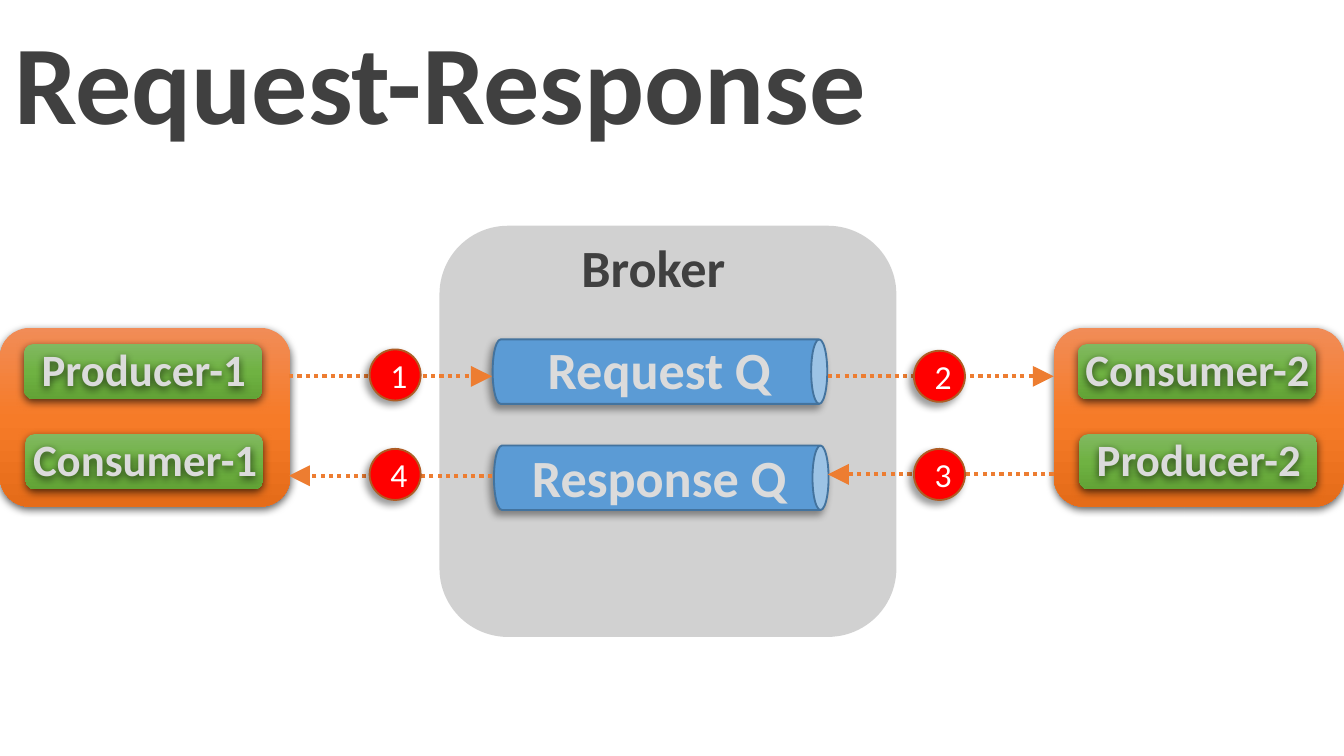
from copy import deepcopy
from lxml import etree
from pptx import Presentation
from pptx.dml.color import RGBColor
from pptx.enum.dml import MSO_LINE
from pptx.enum.shapes import MSO_CONNECTOR, MSO_SHAPE
from pptx.enum.text import MSO_ANCHOR, PP_ALIGN
from pptx.oxml.ns import qn
from pptx.util import Inches, Pt

ROUNDED, CAN, OVAL = MSO_SHAPE.ROUNDED_RECTANGLE, MSO_SHAPE.CAN, MSO_SHAPE.OVAL
STRAIGHT, DOTTED = MSO_CONNECTOR.STRAIGHT, MSO_LINE.ROUND_DOT
CENTER, MIDDLE = PP_ALIGN.CENTER, MSO_ANCHOR.MIDDLE
DARK, LIGHT, ORANGE = "404040", "DBDBDB", "ED7D31"
ORANGES = ("F18C57", "F67B28", "E56C19")
GREENS = ("81B861", "6FB242", "62A336")
DIAGONAL_SHADOW = (40, 4, 3, 135)
DROP_SHADOW = (63, 4.5, 1.5, 90)


def rgb(color):
    return RGBColor.from_string(color)


def add_xml(parent, tag, **attrs):
    return etree.SubElement(parent, qn(tag), {k: str(v) for k, v in attrs.items()})


def set_shadow(sp, shadow):
    sp.shadow.inherit = False
    if shadow:
        alpha, blur, dist, angle = shadow
        effects = sp._element.spPr.find(qn("a:effectLst"))
        outer = add_xml(effects, "a:outerShdw", blurRad=Pt(blur), dist=Pt(dist),
                        dir=angle * 60000, algn="ctr", rotWithShape=0)
        color = add_xml(outer, "a:srgbClr", val="000000")
        add_xml(color, "a:alpha", val=alpha * 1000)


def set_gradient(fill, colors):
    fill.gradient()
    fill.gradient_angle = 270
    first = fill.gradient_stops[0]._gs
    first.addnext(deepcopy(first))
    for i, (stop, color) in enumerate(zip(fill.gradient_stops, colors)):
        stop.position = i / 2
        stop.color.rgb = rgb(color)


def set_text(sp, text, size, color, bold=True, margins=(0.1, 0.05), wrap=False):
    tf = sp.text_frame
    side, edge = (Inches(m) for m in margins)
    frame = {"word_wrap": wrap, "vertical_anchor": MIDDLE, "margin_left": side,
             "margin_right": side, "margin_top": edge, "margin_bottom": edge}
    for name, value in frame.items():
        setattr(tf, name, value)
    p = tf.paragraphs[0]
    p.alignment = CENTER
    r = p.add_run()
    r.text = text
    for name, value in {"name": "Calibri", "size": Pt(size), "bold": bold}.items():
        setattr(r.font, name, value)
    r.font.color.rgb = rgb(color)


def add_block(s, kind, box, fill, line=None, shadow=None):
    sp = s.shapes.add_shape(kind, *map(Inches, box))
    if isinstance(fill, tuple):
        set_gradient(sp.fill, fill)
    else:
        sp.fill.solid()
        sp.fill.fore_color.rgb = rgb(fill)
    if line:
        sp.line.color.rgb = rgb(line)
        sp.line.width = Pt(1)
    else:
        sp.line.fill.background()
    set_shadow(sp, shadow)
    return sp


def add_label(s, text, box, size, color, shadow=None):
    sp = s.shapes.add_textbox(*map(Inches, box))
    set_text(sp, text, size, color, margins=(0.07, 0.04))
    if shadow:
        set_shadow(sp, shadow)


def add_title(s, text):
    sp = s.shapes.title
    sp.left, sp.top, sp.width, sp.height = map(Inches, (-0.04, 0.04, 6.63, 1.11))
    set_text(sp, text, 60, DARK)


def add_broker(s):
    sp = add_block(s, ROUNDED, (3.27, 1.68, 3.4, 3.06), "A5A5A5")
    color = sp.fill._xPr.find(qn("a:solidFill"))[0]
    add_xml(color, "a:alpha", val=50000)
    add_label(s, "Broker", (4.24, 1.71, 1.24, 0.55), 28, DARK)


def add_queue(s, text, left, top, label_top):
    sp = add_block(s, CAN, (left, top, 0.48, 2.49), "5B9BD5", "43739E", DIAGONAL_SHADOW)
    sp.rotation = 90
    add_label(s, text, (3.87, label_top, 2.07, 0.55), 28, LIGHT)


def add_arrow(s, start, end, y):
    c = s.shapes.add_connector(STRAIGHT, *map(Inches, (start, y, end, y)))
    c.line.color.rgb = rgb(ORANGE)
    c.line.width = Pt(2.25)
    c.line.dash_style = DOTTED
    add_xml(c.line._ln, "a:tailEnd", type="triangle", w="lg", len="lg")
    add_xml(c._element.spPr, "a:effectLst")


def add_step(s, number, left, top):
    sp = add_block(s, OVAL, (left, top, 0.38, 0.38), "FF0000", "AF5C24", DIAGONAL_SHADOW)
    set_text(sp, number, 18, "FFFFFF", bold=False, wrap=True)


def add_client(s, left, roles):
    add_block(s, ROUNDED, (left, 2.44, 2.16, 1.33), ORANGES, shadow=DROP_SHADOW)
    for i, role in enumerate(roles):
        x, y = left + 0.18 + 0.01 * i, 2.56 + 0.67 * i
        add_block(s, ROUNDED, (x, y, 1.77, 0.41), GREENS, shadow=DROP_SHADOW)
        add_label(s, role, (x - 0.03, y - 0.06, 1.84, 0.48), 24, LIGHT, DROP_SHADOW)


def main():
    prs = Presentation()
    prs.slide_width = Inches(10)
    prs.slide_height = prs.slide_width * 9 // 16
    s = prs.slides.add_slide(prs.slide_layouts[5])
    add_title(s, "Request-Response")
    add_broker(s)
    add_queue(s, "Request Q", 4.67, 1.52, 2.47)
    add_queue(s, "Response Q", 4.68, 2.31, 3.27)
    add_client(s, 0, ("Producer-1", "Consumer-1"))
    add_client(s, 7.84, ("Consumer-2", "Producer-2"))
    steps = (("1", 2.15, 3.66, 2.8, 2.75, 2.6), ("2", 6.16, 7.84, 2.8, 6.8, 2.61),
             ("3", 7.84, 6.16, 3.53, 6.8, 3.34), ("4", 3.66, 2.15, 3.54, 2.75, 3.34))
    for number, start, end, y, left, top in steps:
        add_arrow(s, start, end, y)
        add_step(s, number, left, top)
    prs.save("out.pptx")


main()
